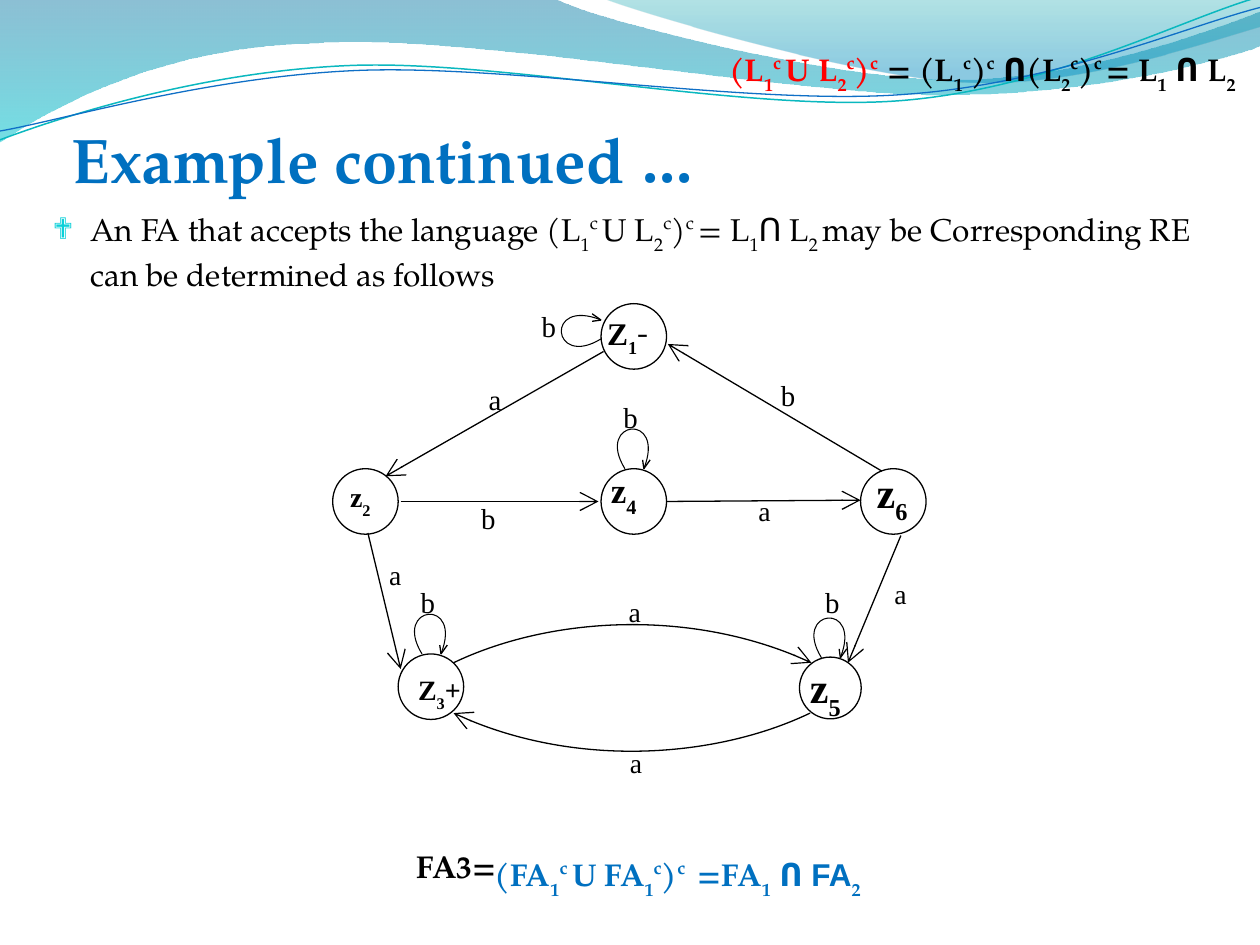
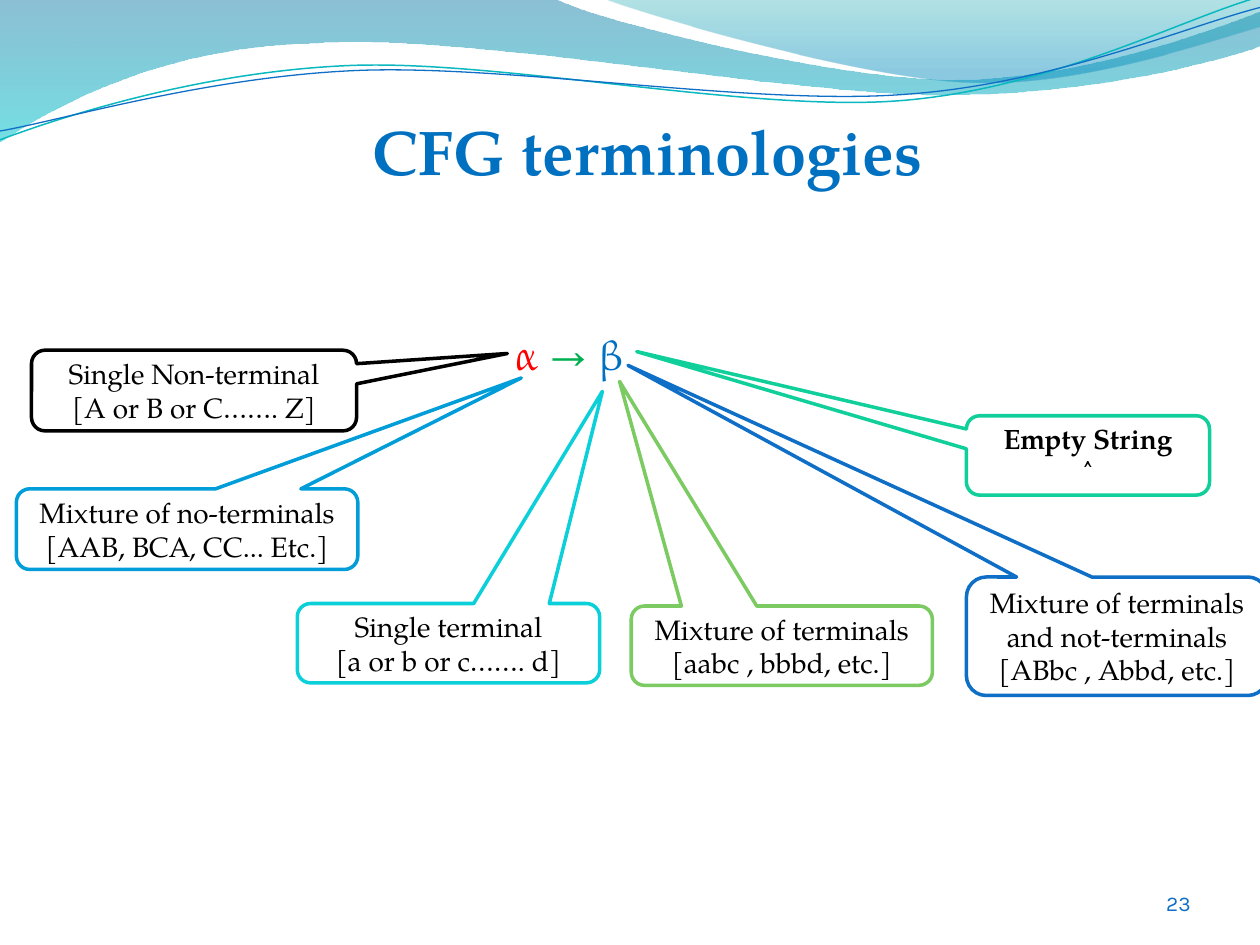
from dataclasses import dataclass
from itertools import chain, groupby
from math import cos, radians, sin
from typing import Any, NamedTuple

from lxml import etree
from pptx import Presentation
from pptx.dml.color import RGBColor
from pptx.enum.shapes import MSO_CONNECTOR, MSO_SHAPE
from pptx.enum.text import MSO_ANCHOR, MSO_AUTO_SIZE, PP_ALIGN
from pptx.oxml.ns import qn
from pptx.util import Inches, Pt

LEFT, CENTER, RIGHT, JUSTIFY = PP_ALIGN.LEFT, PP_ALIGN.CENTER, PP_ALIGN.RIGHT, PP_ALIGN.JUSTIFY
TOP, MIDDLE, BOTTOM = MSO_ANCHOR.TOP, MSO_ANCHOR.MIDDLE, MSO_ANCHOR.BOTTOM
FIXED_SIZE = MSO_AUTO_SIZE.NONE
STRAIGHT = MSO_CONNECTOR.STRAIGHT
ELLIPSE, CALLOUT = MSO_SHAPE.OVAL, MSO_SHAPE.ROUNDED_RECTANGULAR_CALLOUT
TITLE_ONLY = 5
WAVE_TILT = 2.7

Point = tuple[float, float]
Box = tuple[float, float, float, float]
Segment = tuple[Point, ...]


@dataclass(frozen=True)
class Theme:
    serif: str = "TeX Gyre Pagella"
    diagram: str = "Times New Roman"
    sans: str = "Karla"
    symbol: str = "Arial"
    black: str = "000000"
    white: str = "FFFFFF"
    red: str = "FF0000"
    green: str = "00B050"
    heading: str = "0070C0"
    blue: str = "0F6FC6"
    sky: str = "009DD9"
    cyan: str = "0BD0D9"
    mint: str = "10CF9B"
    leaf: str = "7CCA62"
    teal: str = "0AB8BF"
    title_size: float = 36
    rule_size: float = 24
    body_size: float = 18
    callout_size: float = 16
    number_size: float = 12
    hairline: float = 0.6
    thin: float = 0.75
    thick: float = 2


THEME = Theme()


class Span(NamedTuple):
    """Text where _ lowers and ^ raises the next character."""
    markup: str
    color: str = THEME.black
    size: float = THEME.body_size
    font: str = THEME.serif
    bold: bool = False


class GradientStop(NamedTuple):
    position: float
    color: str
    opacity: int


class Band(NamedTuple):
    start: Point
    segments: list[Segment]
    stops: tuple[GradientStop, GradientStop]


class WaveLine(NamedTuple):
    center: Point
    points: list[Point]
    color: str
    width: float


class State(NamedTuple):
    center: Point
    diameter: float
    label_at: Point
    spans: list[Span]


class SelfLoop(NamedTuple):
    pivot: Point
    sideways: bool = False


class EdgeLabel(NamedTuple):
    text: str
    left: float
    top: float
    box: Point = (0.63, 0.42)
    size: float = 16.5


class Callout(NamedTuple):
    box: Box
    tip: Point
    color: str
    lines: list[str]
    bold: bool = False


def state_span(markup: str, size: float) -> Span:
    return Span(markup, size=size, font=THEME.diagram, bold=True)


def small_label(left: float, top: float) -> EdgeLabel:
    return EdgeLabel("a", left, top, (0.25, 0.25), 15.8)


BANDS = [
    Band((0, 0), [((4.4, -0.01),), ((4.76, 0.17), (6.64, 0.63), (7.58, 0.63)),
                  ((8.53, 0.63), (9.58, 0.26), (10, 0.09)), ((10.01, 0.36),),
                  ((9.83, 0.44), (8.7, 0.76), (7.46, 0.75)),
                  ((6.22, 0.75), (3.82, 0.28), (2.57, 0.34)),
                  ((1.29, 0.36), (0.46, 0.83), (-0.01, 1.13)), ((0, 0),)],
         (GradientStop(0, "0074A1", 45), GradientStop(1, "00C6CF", 55))),
    Band((4.79, -0.01), [((5.09, 0.11), (6.82, 0.62), (7.69, 0.65)),
                         ((8.56, 0.69), (9.61, 0.32), (10, 0.21)), ((10, 0),), ((4.79, -0.01),)],
         (GradientStop(0, "00A1A9", 30), GradientStop(0.8, "008BBF", 45))),
]
WAVE_LINES = [
    WaveLine((4.99, 0.57), [(0, 1.11), (0.48, 0.93), (1.58, 0.57), (2.77, 0.52), (3.95, 0.47), (5.93, 0.89),
                            (7.13, 0.8), (8.33, 0.71), (9.38, 0.15), (9.98, -0.02)], THEME.teal, 0.85),
    WaveLine((5, 0.59), [(0, 1.04), (0.47, 0.96), (1.64, 0.61), (2.83, 0.56), (4.03, 0.51), (5.97, 0.84),
                         (7.17, 0.75), (8.36, 0.67), (9.41, 0.21), (10, 0.06)], THEME.blue, 0.75),
]
STATES = [
    State((5.03, 2.67), 0.52, (4.72, 2.44), [state_span("Z_1", 18), Span("-", font=THEME.sans)]),
    State((2.9, 3.98), 0.52, (2.68, 3.76), [state_span("z_2", 16)]),
    State((3.42, 5.45), 0.52, (3.22, 5.29), [state_span("Z_3+", 16)]),
    State((5.03, 3.98), 0.52, (4.75, 3.67), [state_span("z_4", 20)]),
    State((6.59, 5.46), 0.49, (6.33, 5.2), [state_span("z_5", 24)]),
    State((7.09, 3.98), 0.52, (6.86, 3.65), [state_span("z_6", 24)]),
]
SELF_LOOPS = [SelfLoop((5.03, 2.62), True), SelfLoop((3.42, 5.45)),
              SelfLoop((5.03, 3.98)), SelfLoop((6.59, 5.48))]
LOOP_STROKES = [([(-0.07, -0.26), (-0.31, -0.65), (0.26, -0.71), (0.08, -0.26)], THEME.hairline),
                ([(0.08, -0.26), (0.13, -0.33)], THEME.thin),
                ([(0.07, -0.33), (0.08, -0.26)], THEME.thin)]
STRAIGHT_EDGES = [((2.92, 4.23), (3.18, 5.31)), ((7.15, 4.25), (6.73, 5.26)),
                  ((3.18, 3.98), (4.75, 3.98)), ((5.29, 3.98), (6.83, 3.97)),
                  ((7, 3.74), (5.3, 2.73)), ((4.79, 2.79), (3.06, 3.78))]
CURVED_EDGES = [[(3.6, 5.26), (4.33, 4.91), (5.5, 4.82), (6.44, 5.26)],
                [(6.43, 5.66), (5.7, 6.01), (4.53, 6.1), (3.6, 5.66)]]
EDGE_LABELS = [
    EdgeLabel("b", 4.2, 2.4), EdgeLabel("a", 3.78, 2.98), EdgeLabel("b", 6.1, 2.95),
    EdgeLabel("b", 4.85, 3.12), EdgeLabel("b", 3.72, 3.92), EdgeLabel("b", 3.24, 4.59),
    EdgeLabel("b", 6.45, 4.59), small_label(5.92, 3.87), small_label(2.99, 4.38),
    small_label(7, 4.53), small_label(4.89, 4.67), small_label(4.9, 5.87),
]
CALLOUTS = [
    Callout((0.25, 2.78, 2.58, 0.64), (0.964, -0.459), THEME.black,
            ["Single Non-terminal", "[A or B or C……. Z]"]),
    Callout((2.36, 4.79, 2.4, 0.63), (0.509, -3.174), THEME.cyan,
            ["Single terminal", "[a or b or c……. d]"]),
    Callout((0.13, 3.88, 2.71, 0.64), (0.979, -1.875), THEME.sky,
            ["Mixture of no-terminals", "[AAB, BCA, CC... Etc.]"]),
    Callout((5.01, 4.81, 2.39, 0.63), (-0.539, -3.33), THEME.leaf,
            ["Mixture of terminals", "[aabc , bbbd, etc.]"]),
    Callout((7.67, 4.58, 2.39, 0.94), (-1.624, -2.287), THEME.blue,
            ["Mixture of terminals and not-terminals", "[ABbc , Abbd, etc.]"]),
    Callout((7.67, 3.3, 1.93, 0.63), (-1.856, -1.309), THEME.mint, ["Empty String", "˄"], bold=True),
]


def apply_format(target: Any, values: dict[str, Any]) -> None:
    for name, value in values.items():
        setattr(target, name, value)


def split_markup(markup: str) -> list[tuple[str, str]]:
    """Return (baseline mark, text) pairs; the mark is empty on the baseline."""
    characters, mark = [], ""
    for character in markup:
        if character in "_^" and not mark:
            mark = character
        else:
            characters.append((mark, character))
            mark = ""
    return [(key, "".join(text for _, text in group))
            for key, group in groupby(characters, key=lambda pair: pair[0])]


def write_text(shape: Any, lines: list[list[Span]], alignment: Any = LEFT, anchor: Any = TOP,
               frame_format: dict[str, Any] | None = None, line_spacing: float = 1.0) -> None:
    frame = shape.text_frame
    apply_format(frame, {"word_wrap": True, "auto_size": FIXED_SIZE, "vertical_anchor": anchor,
                         **(frame_format or {})})
    for index, spans in enumerate(lines):
        paragraph = frame.add_paragraph() if index else frame.paragraphs[0]
        apply_format(paragraph, {"alignment": alignment, "line_spacing": line_spacing})
        for span in spans:
            for mark, text in split_markup(span.markup):
                run = paragraph.add_run()
                run.text = text
                apply_format(run.font, {"name": span.font, "size": Pt(span.size), "bold": span.bold})
                run.font.color.rgb = RGBColor.from_string(span.color)
                if mark:
                    run._r.get_or_add_rPr().set("baseline", "-30000" if mark == "_" else "40000")


def add_text(slide: Any, box: Box, spans: list[Span], **options: Any) -> Any:
    shape = slide.shapes.add_textbox(*map(Inches, box))
    write_text(shape, [spans], **options)
    return shape


def style_line(shape: Any, color: str, width: float, arrow: bool = False) -> None:
    shape.line.color.rgb = RGBColor.from_string(color)
    shape.line.width = Pt(width)
    if arrow:
        etree.SubElement(shape.line._get_or_add_ln(), qn("a:tailEnd"), type="arrow", w="lg", len="lg")


def add_outline(slide: Any, start: Point, segments: list[Segment], close: bool = False) -> Any:
    """Draw one-point segments as lines and three-point segments as cubic curves."""
    builder = slide.shapes.build_freeform(*map(Inches, start))
    builder.add_line_segments([(Inches(x), Inches(y)) for x, y in chain(*segments)], close=close)
    shape = builder.convert_to_shape()
    shape.shadow.inherit = False
    shape.fill.background()
    path = next(shape._element.iter(qn("a:path")))
    steps = iter(path.findall(qn("a:lnTo")))
    for segment in segments:
        first, *others = [next(steps) for _ in segment]
        if others:
            curve = path.makeelement(qn("a:cubicBezTo"))
            path.replace(first, curve)
            curve.extend([step[0] for step in (first, *others)])
            for step in others:
                path.remove(step)
    return shape


def add_curve(slide: Any, points: list[Point]) -> Any:
    """Draw a line through two points, or a chain of cubic curves through more."""
    rest = points[1:]
    size = min(3, len(rest))
    return add_outline(slide, points[0], [tuple(rest[i:i + size]) for i in range(0, len(rest), size)])


def add_band(slide: Any, band: Band) -> None:
    shape = add_outline(slide, band.start, band.segments, close=True)
    shape.line.fill.background()
    shape.fill.gradient()
    shape.fill.gradient_angle = 270
    for target, stop in zip(shape.fill.gradient_stops, band.stops):
        target.position = stop.position
        target.color.rgb = RGBColor.from_string(stop.color)
    for color, stop in zip(shape._element.spPr.iter(qn("a:srgbClr")), band.stops):
        etree.SubElement(color, qn("a:alpha"), val=str(stop.opacity * 1000))


def add_wave_line(slide: Any, wave: WaveLine) -> None:
    (middle_x, middle_y), angle = wave.center, radians(WAVE_TILT)
    offsets = [(x - middle_x, y - middle_y) for x, y in wave.points]
    shape = add_curve(slide, [(middle_x + x * cos(angle) - y * sin(angle),
                               middle_y + x * sin(angle) + y * cos(angle)) for x, y in offsets])
    shape.rotation = -WAVE_TILT
    style_line(shape, wave.color, wave.width)


def add_titled_slide(presentation: Any, title: str, box: Box, **options: Any) -> Any:
    slide = presentation.slides.add_slide(presentation.slide_layouts[TITLE_ONLY])
    for band in BANDS:
        add_band(slide, band)
    for wave in WAVE_LINES:
        add_wave_line(slide, wave)
    shape = slide.shapes.title
    shape.element.getparent().append(shape.element)
    apply_format(shape, dict(zip(("left", "top", "width", "height"), map(Inches, box))))
    write_text(shape, [[Span(title, THEME.heading, THEME.title_size, bold=True)]], **options)
    return slide


def add_bullet(shape: Any, indent: float) -> None:
    paragraph = shape.text_frame.paragraphs[0]
    paragraph.space_before = Pt(4)
    properties = paragraph._p.get_or_add_pPr()
    apply_indent = {"marL": Inches(indent), "indent": -Inches(indent)}
    for name, value in apply_indent.items():
        properties.set(name, str(value))
    color = etree.SubElement(properties, qn("a:buClr"))
    etree.SubElement(color, qn("a:srgbClr"), val=THEME.cyan)
    etree.SubElement(properties, qn("a:buSzPct"), val="95000")
    etree.SubElement(properties, qn("a:buFont"), typeface="Wingdings")
    etree.SubElement(properties, qn("a:buChar"), char="❖")


def fill_white(shape: Any) -> None:
    shape.shadow.inherit = False
    shape.fill.solid()
    shape.fill.fore_color.rgb = RGBColor.from_string(THEME.white)


def add_state(slide: Any, state: State) -> None:
    corner = [middle - state.diameter / 2 for middle in state.center]
    shape = slide.shapes.add_shape(ELLIPSE, *map(Inches, (*corner, state.diameter, state.diameter)))
    fill_white(shape)
    style_line(shape, THEME.black, THEME.thin)
    add_text(slide, (*state.label_at, 0.74, 0.45), state.spans)


def add_self_loop(slide: Any, loop: SelfLoop) -> None:
    for points, width in LOOP_STROKES:
        turned = [(y, -x) if loop.sideways else (x, y) for x, y in points]
        shape = add_curve(slide, [(loop.pivot[0] + x, loop.pivot[1] + y) for x, y in turned])
        style_line(shape, THEME.black, width)


def add_straight_edge(slide: Any, start: Point, end: Point) -> None:
    connector = slide.shapes.add_connector(STRAIGHT, *map(Inches, (*start, *end)))
    style_line(connector, THEME.black, THEME.thin, arrow=True)
    etree.SubElement(connector._element.spPr, qn("a:effectLst"))


def add_callout(slide: Any, callout: Callout) -> None:
    shape = slide.shapes.add_shape(CALLOUT, *map(Inches, callout.box))
    fill_white(shape)
    for index, value in enumerate((*callout.tip, 0.167)):
        shape.adjustments[index] = value
    style_line(shape, callout.color, THEME.thick)
    lines = [[Span(line, size=THEME.callout_size, bold=callout.bold)] for line in callout.lines]
    write_text(shape, lines, alignment=CENTER, anchor=MIDDLE)


def build_automaton_slide(presentation: Any) -> None:
    slide = add_titled_slide(presentation, "Example continued …", (0.57, 0.62, 6.38, 0.94), anchor=BOTTOM,
                             frame_format={"margin_left": 0, "margin_right": 0, "margin_bottom": 0})
    body = add_text(slide, (0.32, 1.62, 9.6, 4.5), [
        Span("An FA that accepts the language (L_1^c^ U L_2^c)^c^ = L_1"), Span("Ո", font=THEME.symbol),
        Span(" L_2_ may be Corresponding RE can be determined as follows")])
    add_bullet(body, 0.3)
    add_text(slide, (3.21, 6.67, 1.5, 0.4), [Span("FA3=", bold=True)])
    formula = {"alignment": JUSTIFY, "line_spacing": 0.9}
    add_text(slide, (5.69, 0.35, 5.12, 0.37), [
        Span("(L_1^c^ U L_2^c)^c^ ^ ", THEME.red, bold=True), Span("= (L_1^c)^c", bold=True),
        Span(" Ո", font=THEME.symbol, bold=True), Span("(L_2^c)^c^ = L_1", bold=True),
        Span(" Ո ", font=THEME.symbol, bold=True), Span("L_2", bold=True)], **formula)
    add_text(slide, (3.83, 6.74, 5.12, 0.37), [
        Span("(FA_1^c^ U FA_1^c)^c^  =FA_1", THEME.heading, bold=True),
        Span(" Ո FA", THEME.heading, font=THEME.symbol, bold=True),
        Span("_2", THEME.heading, bold=True)], **formula)
    for state in STATES:
        add_state(slide, state)
    for loop in SELF_LOOPS:
        add_self_loop(slide, loop)
    for start, end in STRAIGHT_EDGES:
        add_straight_edge(slide, start, end)
    for points in CURVED_EDGES:
        style_line(add_curve(slide, points), THEME.black, THEME.thin, arrow=True)
    for label in EDGE_LABELS:
        add_text(slide, (label.left, label.top, *label.box),
                 [Span(label.text, size=label.size, font=THEME.diagram)])


def build_terminology_slide(presentation: Any) -> None:
    slide = add_titled_slide(presentation, "CFG terminologies", (0.89, 0.84, 8.5, 0.57), alignment=CENTER)
    no_margins = {f"margin_{side}": 0 for side in ("left", "top", "right", "bottom")}
    add_text(slide, (8.87, 6.83, 0.58, 0.44), [Span("23", THEME.blue, THEME.number_size, THEME.sans)],
             alignment=RIGHT, anchor=BOTTOM, frame_format=no_margins)
    rule = [("α ", THEME.red), ("→ ", THEME.green), ("β", THEME.heading)]
    add_text(slide, (3.49, 2.56, 2.07, 0.5),
             [Span(symbol, color, THEME.rule_size) for symbol, color in rule], alignment=CENTER)
    for callout in CALLOUTS:
        add_callout(slide, callout)


presentation = Presentation()
apply_format(presentation, {"slide_width": Inches(10), "slide_height": Inches(7.5)})
build_automaton_slide(presentation)
build_terminology_slide(presentation)
presentation.save("out.pptx")
